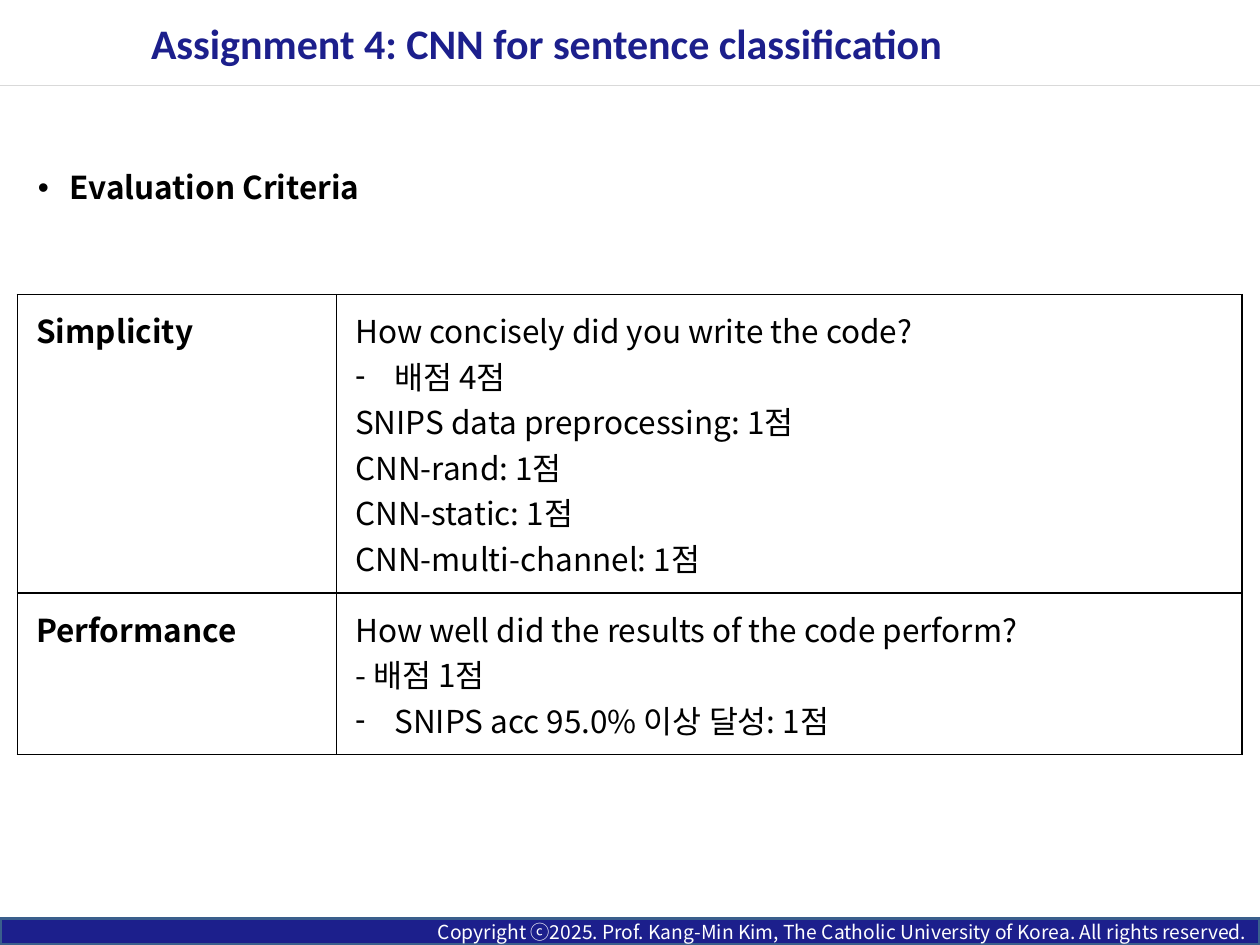
from lxml import etree
from pptx import Presentation
from pptx import util as u
from pptx.dml.color import RGBColor
from pptx.enum import shapes, text
from pptx.oxml.ns import qn

NAVY = RGBColor(0x1C, 0x1F, 0x8C)
STEEL = RGBColor(0x3A, 0x5F, 0x8C)
GREY = RGBColor(0xD9, 0xD9, 0xD9)
BLACK = RGBColor(0, 0, 0)
WHITE = RGBColor(0xFF, 0xFF, 0xFF)
SANS = "Noto Sans CJK KR"
WIDTH, HEIGHT = u.Cm(25.4), u.Cm(19.05)
HEADER_H = u.Cm(1.73)

# Each cell lists its paragraphs as (text, has dash bullet)
CRITERIA = [
    ("Simplicity", [
        ("How concisely did you write the code?", False),
        ("배점 4점", True),
        ("SNIPS data preprocessing: 1점", False),
        ("CNN-rand: 1점", False),
        ("CNN-static: 1점", False),
        ("CNN-multi-channel: 1점", False),
    ]),
    ("Performance", [
        ("How well did the results of the code perform?", False),
        ("- 배점 1점", False),
        ("SNIPS acc 95.0% 이상 달성: 1점", True),
    ]),
]
COL_WIDTHS = [u.Cm(6.43), u.Cm(18.26)]
ROW_HEIGHTS = [u.Cm(6), u.Cm(3.25)]


def add_run(p, content, size, color, font=SANS, bold=False):
    r = p.add_run()
    r.text = content
    r.font.size = u.Pt(size)
    r.font.bold = bold
    r.font.color.rgb = color
    r.font.name = font
    etree.SubElement(r.font._element, qn("a:ea"), typeface=font)


def set_bullet(p, char, indent):
    """Give the paragraph a bullet with a hanging indent."""
    pPr = p._p.get_or_add_pPr()
    pPr.set("marL", str(indent))
    pPr.set("indent", str(-indent))
    etree.SubElement(pPr, qn("a:buFont"), typeface="Arial")
    etree.SubElement(pPr, qn("a:buChar"), char=char)


def place(sp, left, top, width, height):
    sp.left, sp.top, sp.width, sp.height = left, top, width, height


def add_footer(s):
    h = u.Cm(0.53)
    sp = s.shapes.add_shape(shapes.MSO_SHAPE.RECTANGLE, 0, HEIGHT - h, WIDTH, h)
    sp.shadow.inherit = False
    sp.fill.solid()
    sp.fill.fore_color.rgb = NAVY
    sp.line.color.rgb = STEEL
    sp.line.width = u.Pt(2)
    tf = sp.text_frame
    tf.vertical_anchor = text.MSO_ANCHOR.MIDDLE
    p = tf.paragraphs[0]
    p.alignment = text.PP_ALIGN.RIGHT
    add_run(p, "Copyright ⓒ2025. Prof. Kang-Min Kim, The Catholic University of Korea. "
               "All rights reserved.", 11, WHITE)


def add_header_rule(s):
    line = s.shapes.add_connector(shapes.MSO_CONNECTOR.STRAIGHT, 0, HEADER_H, WIDTH, HEADER_H)
    line.line.color.rgb = GREY
    line.line.width = u.Pt(0.75)
    etree.SubElement(line._element.spPr, qn("a:effectLst"))


def fill_title(s):
    sp = s.shapes.title
    left = u.Cm(2.79)
    place(sp, left, 0, WIDTH - left, HEADER_H)
    tf = sp.text_frame
    tf.auto_size = text.MSO_AUTO_SIZE.NONE
    tf.vertical_anchor = text.MSO_ANCHOR.MIDDLE
    p = tf.paragraphs[0]
    p.alignment = text.PP_ALIGN.LEFT
    add_run(p, "Assignment 4: CNN for sentence classification", 24, NAVY, "Calibri", True)


def fill_body(s):
    sp = s.placeholders[1]
    place(sp, u.Cm(0.51), u.Cm(3.35), u.Cm(24.54), u.Cm(12.09))
    tf = sp.text_frame
    tf.auto_size = text.MSO_AUTO_SIZE.NONE
    p = tf.paragraphs[0]
    set_bullet(p, "•", u.Cm(0.64))
    p.line_spacing = 0.9
    p.space_before = u.Pt(0)
    add_run(p, "Evaluation Criteria", 18, BLACK, bold=True)


def style_cell(cell):
    cell.margin_left = cell.margin_right = u.Cm(0.38)
    cell.margin_top = cell.margin_bottom = u.Cm(0.25)
    tcPr = cell._tc.get_or_add_tcPr()
    for side in ("a:lnL", "a:lnR", "a:lnT", "a:lnB"):
        ln = etree.SubElement(tcPr, qn(side), w=str(u.Pt(1)))
        fill = etree.SubElement(ln, qn("a:solidFill"))
        etree.SubElement(fill, qn("a:srgbClr"), val=str(BLACK))
    cell.fill.solid()
    cell.fill.fore_color.rgb = WHITE


def fill_cell(cell, lines, bold=False):
    style_cell(cell)
    tf = cell.text_frame
    for i, (content, dashed) in enumerate(lines):
        p = tf.add_paragraph() if i else tf.paragraphs[0]
        p.alignment = text.PP_ALIGN.JUSTIFY
        if dashed:
            set_bullet(p, "-", u.Cm(0.79))
        add_run(p, content, 18, BLACK, bold=bold)


def add_criteria_table(s):
    table = s.shapes.add_table(len(CRITERIA), len(COL_WIDTHS), u.Cm(0.35), u.Cm(5.94),
                               sum(COL_WIDTHS), sum(ROW_HEIGHTS)).table
    table.first_row = table.horz_banding = False
    for col, width in zip(table.columns, COL_WIDTHS):
        col.width = width
    for i, (name, lines) in enumerate(CRITERIA):
        table.rows[i].height = ROW_HEIGHTS[i]
        fill_cell(table.cell(i, 0), [(name, False)], bold=True)
        fill_cell(table.cell(i, 1), lines)


def main():
    prs = Presentation()
    prs.slide_width, prs.slide_height = WIDTH, HEIGHT
    s = prs.slides.add_slide(prs.slide_layouts[1])
    add_footer(s)
    add_header_rule(s)
    fill_title(s)
    add_criteria_table(s)
    fill_body(s)
    prs.save("out.pptx")


if __name__ == "__main__":
    main()
